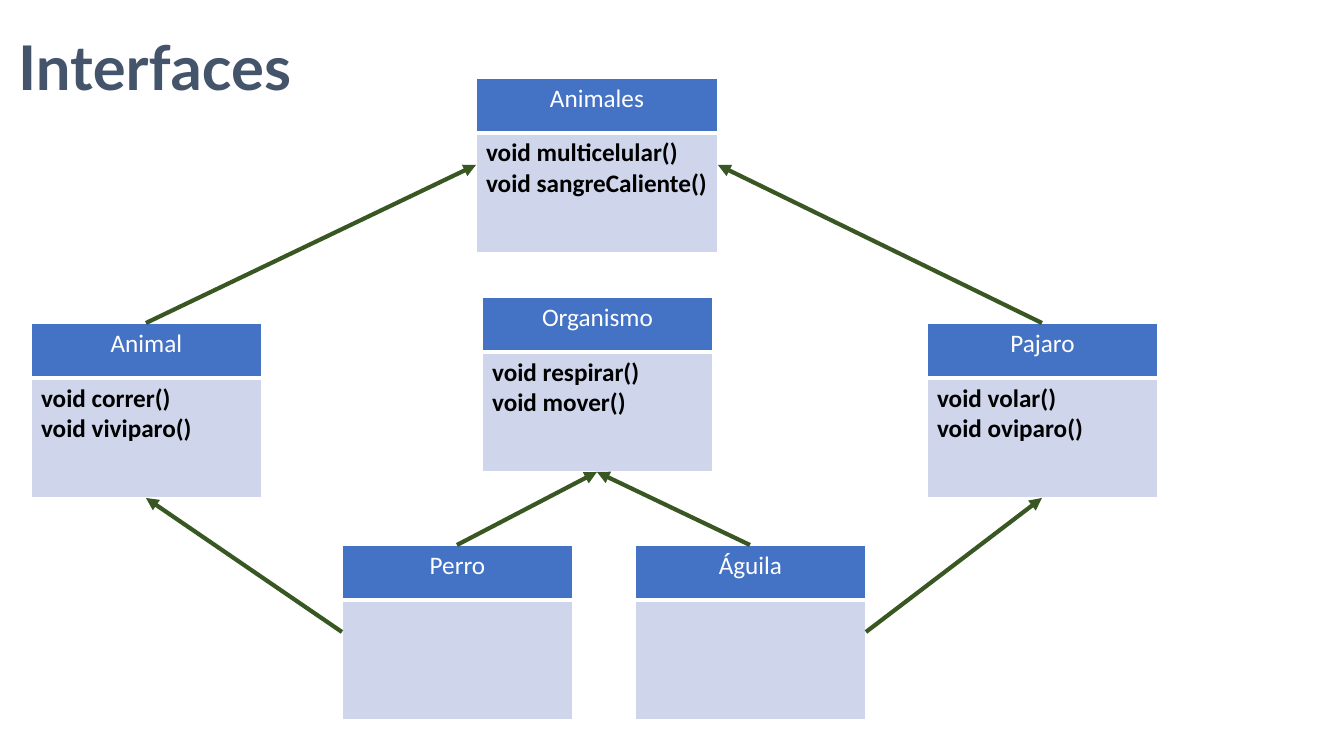
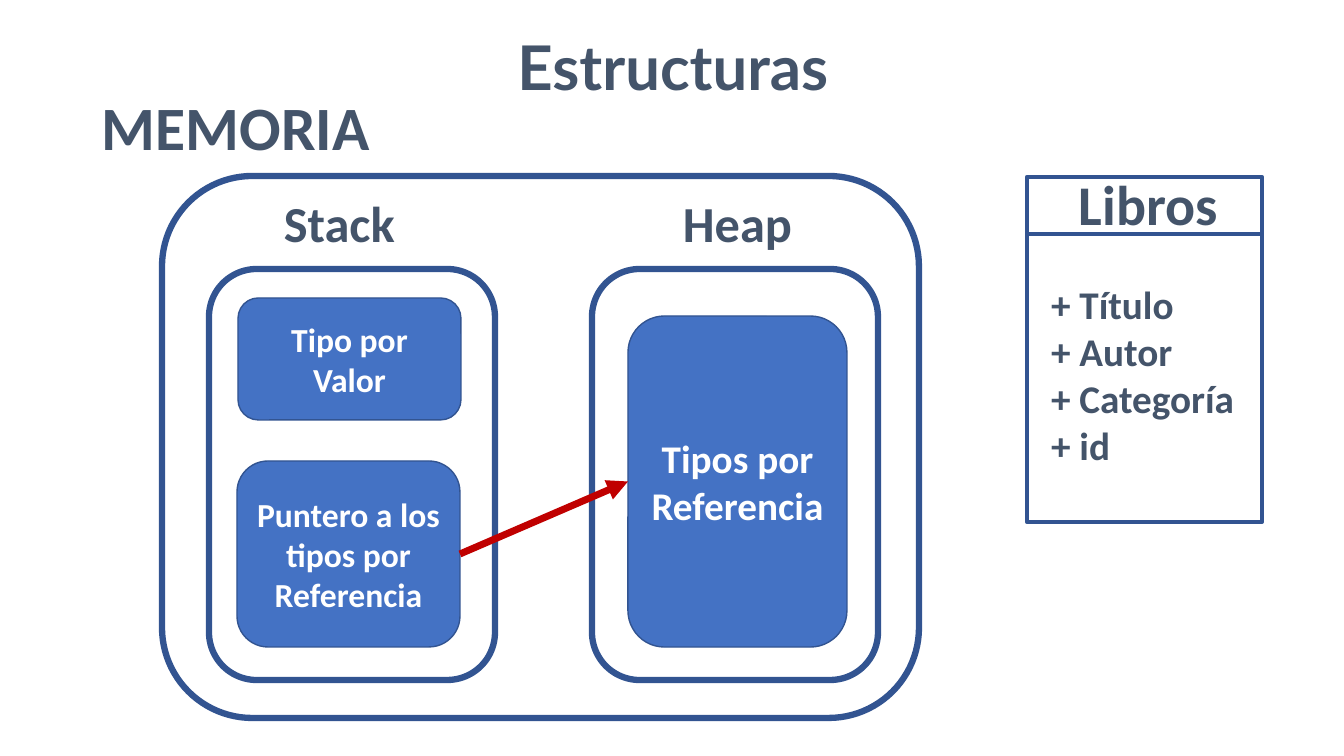
from collections import namedtuple
from dataclasses import dataclass

from pptx import Presentation
from pptx.dml.color import RGBColor as RGB
from pptx.enum.shapes import MSO_CONNECTOR as Connector, MSO_SHAPE as Shape
from pptx.enum.text import MSO_ANCHOR as Anchor, MSO_AUTO_SIZE as AutoSize, PP_ALIGN as Align
from pptx.oxml import parse_xml
from pptx.oxml.ns import nsdecls
from pptx.util import Pt

EMU_PER_PIXEL = 914400 / 100.8
TITLE_AND_BODY, TITLE_ONLY = 1, 5
LEFT_SITE, RIGHT_SITE = 1, 3


@dataclass(frozen=True)
class Theme:
    """Colours, fonts and type sizes of the presentation."""
    ink: str = "44546A"
    blue: str = "4472C4"
    outline: str = "325491"
    pale: str = "CFD5EA"
    green: str = "385723"
    red: str = "C00000"
    white: str = "FFFFFF"
    black: str = "000000"
    title_font: str = "Lato"
    text_font: str = "Calibri"
    title: int = 44
    name: int = 40
    heading: int = 36
    large: int = 28
    medium: int = 24
    small: int = 18


class Box(namedtuple("Box", "left top width height")):
    """A rectangle in pixels with the middle points of its sides."""

    def side(self, name):
        """Return the middle point of the named side."""
        middle_x, middle_y = self.left + self.width // 2, self.top + self.height // 2
        return {"left": (self.left, middle_y),
                "right": (self.left + self.width, middle_y),
                "top": (middle_x, self.top),
                "bottom": (middle_x, self.top + self.height)}[name]


def px(pixels):
    """Turn pixels into EMU."""
    return round(pixels * EMU_PER_PIXEL)


def apply(target, values):
    """Set each attribute in a dict of format values."""
    for name, value in values.items():
        setattr(target, name, value)


class Deck:
    """Holds the theme, the presentation and the current slide."""

    def __init__(self, theme, width, height):
        """Start an empty presentation."""
        self.theme = theme
        self.presentation = Presentation()
        apply(self.presentation, {"slide_width": px(width), "slide_height": px(height)})
        self.slide = None

    def new_slide(self, title, layout, align=Align.LEFT):
        """Add a slide and fill its title placeholder."""
        self.slide = self.presentation.slides.add_slide(
            self.presentation.slide_layouts[layout])
        shape = self.slide.shapes.title
        self.place(shape, Box(13, 26, 1320, 80))
        apply(shape.text_frame, {
            "margin_left": px(5), "margin_right": px(5), "margin_top": px(2),
            "margin_bottom": px(2), "vertical_anchor": Anchor.MIDDLE,
            "auto_size": AutoSize.NONE})
        self.set_text(shape.text_frame, [title], self.theme.title,
                      align=align, font=self.theme.title_font)

    def place(self, shape, box):
        """Move a shape to a box."""
        apply(shape, {name: px(value) for name, value in box._asdict().items()})

    def set_text(self, frame, lines, size, color=None, bold=True, align=Align.LEFT, font=None):
        """Fill a text frame with one paragraph for each line."""
        frame.text = "\n".join(lines)
        for paragraph in frame.paragraphs:
            apply(paragraph, {"alignment": align, "space_before": Pt(0)})
            for run in paragraph.runs:
                apply(run.font, {"name": font or self.theme.text_font,
                                 "size": Pt(size), "bold": bold})
                run.font.color.rgb = RGB.from_string(color or self.theme.ink)

    def label(self, text, box, size):
        """Add a one-line heading that does not wrap."""
        frame = self.slide.shapes.add_textbox(*map(px, box)).text_frame
        apply(frame, {"word_wrap": False, "auto_size": AutoSize.SHAPE_TO_FIT_TEXT})
        self.set_text(frame, [text], size)

    def plain_list(self, lines, box, size):
        """Fill the body placeholder with lines without bullets."""
        shape = self.slide.placeholders[1]
        self.place(shape, box)
        apply(shape.text_frame, {"word_wrap": False,
                                 "auto_size": AutoSize.SHAPE_TO_FIT_TEXT})
        self.set_text(shape.text_frame, lines, size)
        for paragraph in shape.text_frame.paragraphs:
            properties = paragraph._p.get_or_add_pPr()
            for name in ("marL", "indent"):
                properties.set(name, "0")
            properties.append(parse_xml(f"<a:buNone {nsdecls('a')}/>"))

    def outline(self, kind, box, weight):
        """Add an unfilled shape with an outline."""
        shape = self.slide.shapes.add_shape(kind, *map(px, box))
        shape.shadow.inherit = False
        shape.fill.background()
        shape.line.color.rgb = RGB.from_string(self.theme.outline)
        shape.line.width = Pt(weight)
        return shape

    def block(self, text, box, size):
        """Add a filled rounded block with centred text."""
        shape = self.outline(Shape.ROUNDED_RECTANGLE, box, 1)
        shape.fill.solid()
        shape.fill.fore_color.rgb = RGB.from_string(self.theme.blue)
        apply(shape.text_frame, {"word_wrap": True, "vertical_anchor": Anchor.MIDDLE})
        self.set_text(shape.text_frame, [text], size, self.theme.white, align=Align.CENTER)
        return shape

    def arrow(self, start, end, color, weight):
        """Add a straight arrow between two points."""
        connector = self.slide.shapes.add_connector(
            Connector.STRAIGHT, *map(px, (*start, *end)))
        connector.line.color.rgb = RGB.from_string(color)
        connector.line.width = Pt(weight)
        properties = connector._element.spPr
        properties.ln.append(parse_xml(f'<a:tailEnd {nsdecls("a")} type="triangle"/>'))
        properties.append(parse_xml(f"<a:effectLst {nsdecls('a')}/>"))
        return connector

    def class_table(self, name, methods, box, header_height=55):
        """Add a class as a table with its name above its methods."""
        theme = self.theme
        table = self.slide.shapes.add_table(2, 1, *map(px, box)).table
        for row, height in zip(table.rows, (header_height, box.height - header_height)):
            row.height = px(height)
        header, body = table.cell(0, 0), table.cell(1, 0)
        self.fill_cell(header, theme.blue, bottom=3)
        self.fill_cell(body, theme.pale, bottom=1)
        self.set_text(header.text_frame, [name], theme.small, theme.white, False, Align.CENTER)
        self.set_text(body.text_frame, methods, theme.small, theme.black)

    def fill_cell(self, cell, color, bottom):
        """Set the fill and the white borders of a cell."""
        cell.fill.solid()
        cell.fill.fore_color.rgb = RGB.from_string(color)
        properties = cell._tc.get_or_add_tcPr()
        for index, (side, weight) in enumerate(
                {"L": 1, "R": 1, "T": 1, "B": bottom}.items()):
            properties.insert(index, parse_xml(
                f'<a:ln{side} {nsdecls("a")} w="{Pt(weight)}"><a:solidFill>'
                f'<a:srgbClr val="{self.theme.white}"/></a:solidFill></a:ln{side}>'))


def interfaces_slide(deck):
    """Draw the class hierarchy."""
    deck.new_slide("Interfaces", TITLE_ONLY)
    width, height = 231, 175
    classes = {
        "Animal": (Box(31, 323, width, height), ["void correr()", "void viviparo()"]),
        "Animales": (Box(476, 78, 242, height),
                     ["void multicelular()", "void sangreCaliente()"]),
        "Organismo": (Box(482, 297, width, height), ["void respirar()", "void mover()"]),
        "Pajaro": (Box(927, 323, width, height), ["void volar()", "void oviparo()"]),
        "Perro": (Box(342, 545, width, height), []),
        "Águila": (Box(635, 545, width, height), []),
    }
    for name, (box, methods) in classes.items():
        deck.class_table(name, methods, box)
    for child, child_side, parent, parent_side in (
            ("Perro", "left", "Animal", "bottom"),
            ("Perro", "top", "Organismo", "bottom"),
            ("Águila", "top", "Organismo", "bottom"),
            ("Águila", "right", "Pajaro", "bottom"),
            ("Animal", "top", "Animales", "left"),
            ("Pajaro", "top", "Animales", "right")):
        deck.arrow(classes[child][0].side(child_side),
                   classes[parent][0].side(parent_side), deck.theme.green, 3)


def structures_slide(deck):
    """Draw the memory areas and the record of a book."""
    theme = deck.theme
    deck.new_slide("Estructuras", TITLE_AND_BODY, Align.CENTER)
    for memory_area in (Box(162, 176, 757, 542), Box(209, 269, 286, 411),
                        Box(592, 269, 286, 411)):
        deck.outline(Shape.ROUNDED_RECTANGLE, memory_area, 4.5)
    deck.label("MEMORIA", Box(92, 84, 291, 85), theme.title)
    deck.label("Stack", Box(274, 187, 132, 72), theme.heading)
    deck.label("Heap", Box(673, 187, 131, 72), theme.heading)

    reference_box, pointer_box = Box(628, 316, 219, 331), Box(237, 461, 223, 186)
    reference = deck.block("Tipos por Referencia", reference_box, theme.large)
    deck.block("Tipo por Valor", Box(238, 298, 223, 122), theme.medium)
    pointer = deck.block("Puntero a los tipos por Referencia", pointer_box, theme.medium)
    arrow = deck.arrow(pointer_box.side("right"), reference_box.side("left"), theme.red, 5)
    arrow.begin_connect(pointer, RIGHT_SITE)
    arrow.end_connect(reference, LEFT_SITE)

    for record_part in (Box(1027, 177, 235, 57), Box(1027, 234, 235, 288)):
        deck.outline(Shape.RECTANGLE, record_part, 3)
    deck.label("Libros", Box(1069, 165, 161, 78), theme.name)
    deck.plain_list(["+ Título", "+ Autor", "+ Categoría", "+ id"],
                    Box(1041, 275, 206, 201), theme.large)


deck = Deck(Theme(), 1344, 756)
interfaces_slide(deck)
structures_slide(deck)
deck.presentation.save("out.pptx")
